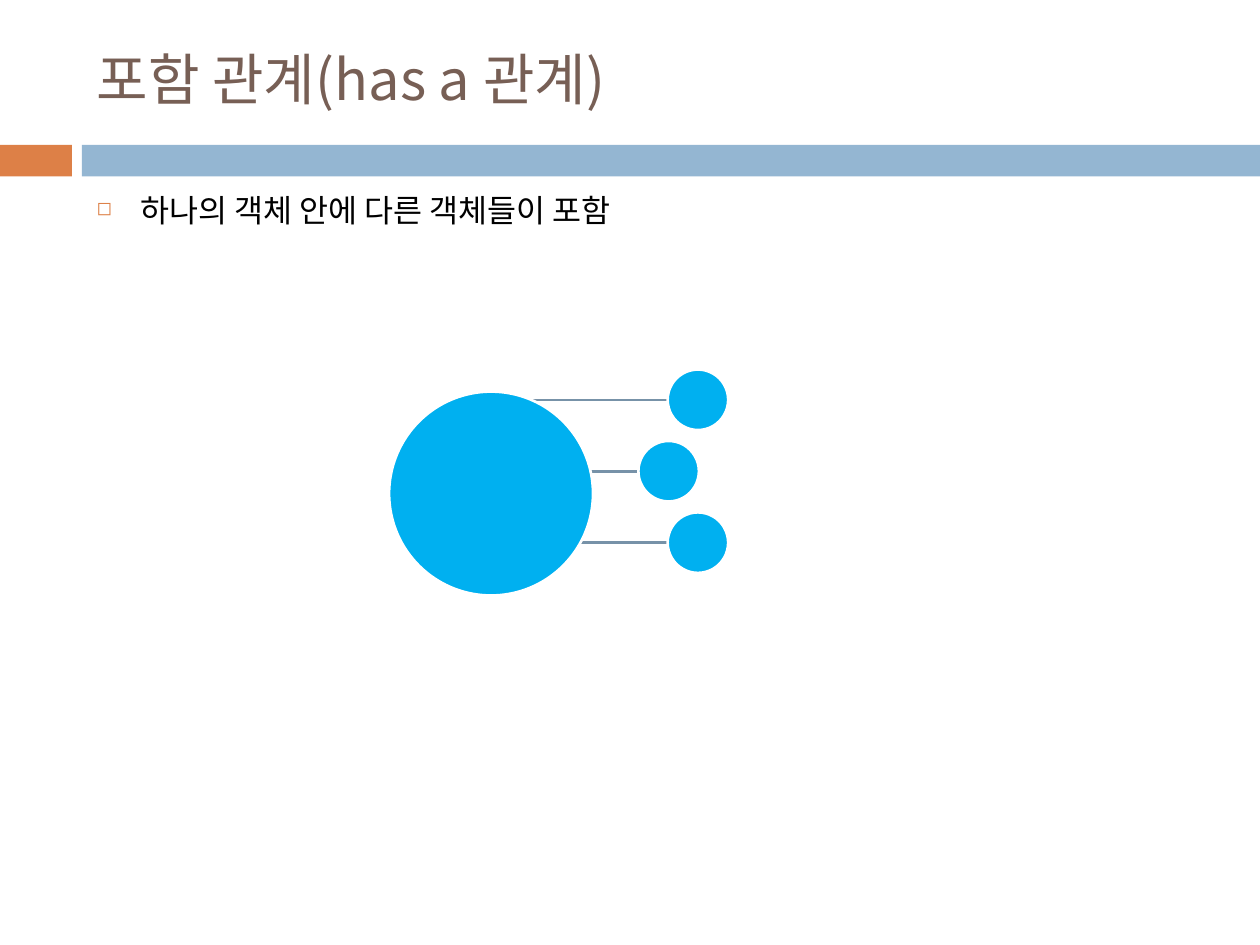
from lxml.etree import SubElement
from pptx import Presentation
from pptx.dml.color import RGBColor
from pptx.enum.shapes import MSO_CONNECTOR as Connector, MSO_SHAPE as Shape
from pptx.enum.text import MSO_ANCHOR as Anchor
from pptx.oxml.ns import qn
from pptx.util import Cm, Pt

FONT = "Noto Sans CJK KR"
ORANGE, BLUE, BROWN, BLACK = "DD8047", "94B6D2", "775F55", "000000"
CYAN, LINE_GREY, WHITE = "00B0F0", "7792A8", "FFFFFF"

TITLE = "포함 관계(has a 관계)"
BULLETS = ["하나의 객체 안에 다른 객체들이 포함"]

# All lengths are in centimetres
SLIDE_WIDTH, SLIDE_HEIGHT = 25.4, 19.05
TEXT_LEFT, TEXT_WIDTH = 1.7, 22.66
BAR_TOP, BAR_HEIGHT = 2.92, 0.64
BARS = [(0, 1.45, ORANGE), (1.65, SLIDE_WIDTH - 1.65, BLUE)]  # left, width, colour

WHOLE_CENTRE, WHOLE_SIZE = (9.9, 9.95), 4.11
PART_SIZE, PART_TOP, PART_STEP = 1.22, 8.06, 1.44
PART_CENTRES = [(x, PART_TOP + i * PART_STEP) for i, x in enumerate([14.07, 13.48, 14.07])]


def colour(value):
    return RGBColor.from_string(value)


def add_filled(slide, kind, left, top, width, height, fill):
    shape = slide.shapes.add_shape(kind, Cm(left), Cm(top), Cm(width), Cm(height))
    shape.shadow.inherit = False
    shape.fill.solid()
    shape.fill.fore_color.rgb = colour(fill)
    shape.line.fill.background()
    return shape


def add_circle(slide, centre, size):
    left, top = (value - size / 2 for value in centre)
    circle = add_filled(slide, Shape.OVAL, left, top, size, size, CYAN)
    circle.line.color.rgb = colour(WHITE)
    circle.line.width = Pt(1.5)


def add_link(slide, part_centre):
    """Draw a level line from below the large circle to the centre of a part."""
    x, y = part_centre
    link = slide.shapes.add_connector(
        Connector.STRAIGHT, Cm(WHOLE_CENTRE[0]), Cm(y), Cm(x), Cm(y))
    link.line.color.rgb = colour(LINE_GREY)
    link.line.width = Pt(1.5)
    SubElement(link._element.spPr, qn("a:effectLst"))


def add_text_frame(slide, top, height, anchor):
    box = slide.shapes.add_textbox(Cm(TEXT_LEFT), Cm(top), Cm(TEXT_WIDTH), Cm(height))
    frame = box.text_frame
    frame.word_wrap = True
    frame.vertical_anchor = anchor
    return frame


def add_run(paragraph, text, size, text_colour):
    run = paragraph.add_run()
    run.text = text
    run.font.size = Pt(size)
    run.font.name = FONT
    run.font.color.rgb = colour(text_colour)
    SubElement(run.font._element, qn("a:ea"), typeface=FONT)


def add_bullet(paragraph):
    properties = paragraph._p.get_or_add_pPr()
    indent = Cm(0.89)
    properties.set("marL", str(indent))
    properties.set("indent", str(-indent))
    bullet_colour = SubElement(properties, qn("a:buClr"))
    SubElement(bullet_colour, qn("a:srgbClr"), val=ORANGE)
    SubElement(properties, qn("a:buSzPct"), val="60000")
    SubElement(properties, qn("a:buChar"), char="◻")


def main():
    presentation = Presentation()
    presentation.slide_width, presentation.slide_height = Cm(SLIDE_WIDTH), Cm(SLIDE_HEIGHT)
    slide = presentation.slides.add_slide(presentation.slide_layouts[6])

    for left, width, fill in BARS:
        add_filled(slide, Shape.RECTANGLE, left, BAR_TOP, width, BAR_HEIGHT, fill)

    title = add_text_frame(slide, 0.64, 1.88, Anchor.MIDDLE)
    add_run(title.paragraphs[0], TITLE, 32, BROWN)

    body = add_text_frame(slide, 3.73, 14.2, Anchor.TOP)
    for i, text in enumerate(BULLETS):
        paragraph = body.add_paragraph() if i else body.paragraphs[0]
        paragraph.space_before = Pt(7)
        add_bullet(paragraph)
        add_run(paragraph, text, 18, BLACK)

    for centre in PART_CENTRES:
        add_link(slide, centre)
    add_circle(slide, WHOLE_CENTRE, WHOLE_SIZE)
    for centre in PART_CENTRES:
        add_circle(slide, centre, PART_SIZE)

    presentation.save("out.pptx")


if __name__ == "__main__":
    main()
